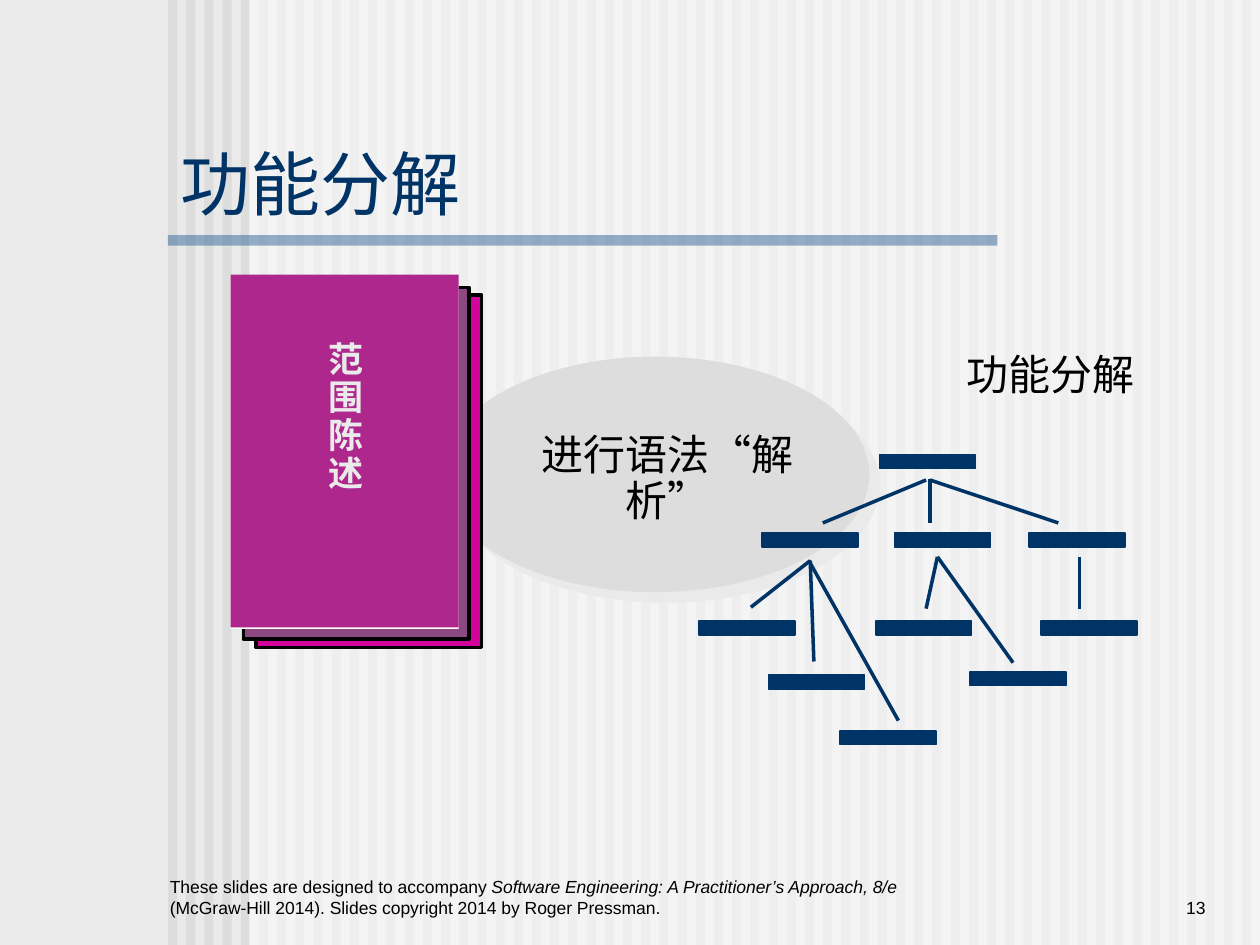
from lxml import etree
from pptx import Presentation
from pptx.dml.color import RGBColor
from pptx.enum.shapes import MSO_CONNECTOR, MSO_SHAPE
from pptx.enum.text import MSO_ANCHOR, MSO_AUTO_SIZE, PP_ALIGN
from pptx.oxml import parse_xml
from pptx.oxml.ns import nsdecls, qn
from pptx.util import Pt

COLORS = {
    "back": "EAEAEA", "stripe": "DDDDDD", "white": "FFFFFF", "rule": "336699",
    "navy": "003366", "black": "000000", "pink": "D1039B", "plum": "8C4881",
    "magenta": "AD278D",
}
CJK = "Noto Sans CJK SC"

TITLE = "功能分解"
FOOTER = [
    ("These slides are designed to accompany ", False),
    ("Software Engineering: A Practitioner’s Approach, 8/e ", True),
    ("(McGraw-Hill 2014). Slides copyright 2014 by Roger Pressman.", False),
]
# Text boxes: paragraphs of (text, italic) runs, box, and style
LABELS = [
    dict(paras=[[("13", False)]], box=(594, 492, 102, 36), size=10,
         align=PP_ALIGN.RIGHT, anchor=MSO_ANCHOR.BOTTOM),
    dict(paras=[FOOTER], box=(90, 492, 432, 36), size=10,
         anchor=MSO_ANCHOR.BOTTOM),
    dict(paras=[[("功能分解", False)]], box=(545, 195.8, 110.2, 36), size=24,
         font=CJK, align=PP_ALIGN.CENTER, wrap=False),
    dict(paras=[[("范围", False)], [("陈述", False)]],
         box=(170.6, 192.2, 54, 50.4), size=20, color="back", bold=True,
         align=PP_ALIGN.CENTER, spacing=0.9, wrap=False),
    dict(paras=[[("进行语法“解析”", False)]], box=(282.2, 244.8, 198.7, 33),
         size=24, font=CJK, align=PP_ALIGN.CENTER, spacing=0.9),
]
# Stacked pages: box, fill, outline
PAGES = [
    ((146.2, 168.5, 128.9, 202.3), "white", None),
    ((146.2, 168.5, 128.9, 201.6), "pink", "black"),
    ((139, 164.2, 128.9, 200.9), "plum", "black"),
    ((131.8, 157, 130.3, 202.3), "white", None),
    ((131.8, 157, 130.3, 201.6), "magenta", None),
]
# Tree: left and top of each bar, then the ends of each branch
BAR_W, BAR_H = 54.8, 7.9
BARS = [
    (502.6, 259.9),
    (435.6, 304.6), (511.2, 304.6), (588.2, 304.6),
    (399.6, 355), (439.2, 385.9), (480.2, 417.6),
    (500.4, 355), (554.4, 383.8), (595, 355),
]
BRANCHES = [
    (529.2, 274.3, 470.2, 298.8), (531.4, 273.6, 531.4, 298.8),
    (531.4, 274.3, 604.8, 298.8),
    (463, 320.4, 429.1, 347), (463, 320.4, 465.1, 378),
    (462.2, 320.4, 513.4, 411.8),
    (535.7, 318.2, 529.2, 347.8), (535.7, 318.2, 578.9, 378.7),
    (617, 318.2, 617, 347.8),
]
STRIPES, STRIPE_X, STRIPE_STEP, STRIPE_W = 60, 96, 10.4, 5.2


def rgb(name):
    return RGBColor.from_string(COLORS[name])


def add_block(box, fill, line=None, width=1, alpha=None, kind=MSO_SHAPE.RECTANGLE):
    sp = slide.shapes.add_shape(kind, *map(Pt, box))
    sp.shadow.inherit = False
    sp.fill.solid()
    sp.fill.fore_color.rgb = rgb(fill)
    if alpha:
        clr = sp._element.spPr.find(qn("a:solidFill"))[0]
        etree.SubElement(clr, qn("a:alpha")).set("val", str(alpha * 1000))
    if line:
        sp.line.color.rgb = rgb(line)
        sp.line.width = Pt(width)
    else:
        sp.line.fill.background()
    return sp


def add_run(p, text, size, color="black", font="Arial", bold=None, italic=None):
    r = p.add_run()
    r.text = text
    r.font.name = font
    r.font.size = Pt(size)
    r.font.bold = bold
    r.font.italic = italic
    r.font.color.rgb = rgb(color)
    etree.SubElement(r._r.get_or_add_rPr(), qn("a:ea")).set("typeface", CJK)


def add_label(paras, box, size, color="black", font="Arial", bold=None,
              align=PP_ALIGN.LEFT, anchor=MSO_ANCHOR.TOP, spacing=None, wrap=True):
    tf = slide.shapes.add_textbox(*map(Pt, box)).text_frame
    tf.word_wrap = wrap
    tf.vertical_anchor = anchor
    for i, runs in enumerate(paras):
        p = tf.add_paragraph() if i else tf.paragraphs[0]
        p.alignment = align
        p.line_spacing = spacing
        for text, italic in runs:
            add_run(p, text, size, color, font, bold, italic)


prs = Presentation()
prs.slide_width, prs.slide_height = Pt(720), Pt(540)
slide = prs.slides.add_slide(prs.slide_layouts[5])
slide.background.fill.solid()
slide.background.fill.fore_color.rgb = rgb("back")

# Striped backdrop, veil and title rule
for i in range(STRIPES):
    add_block((STRIPE_X + i * STRIPE_STEP, 0, STRIPE_W, 540), "stripe")
add_block((142.4, 0, 577.6, 540), "white", alpha=50)
add_block((96, 134.4, 474, 6), "rule", alpha=50)

# Ellipse with a hard offset shadow
oval = add_block((252, 203.8, 244.8, 134.6), "stripe", kind=MSO_SHAPE.OVAL)
spPr = oval._element.spPr
spPr.remove(spPr.find(qn("a:effectLst")))
spPr.append(parse_xml(
    f'<a:effectLst {nsdecls("a")}><a:outerShdw dist="{Pt(8.5)}" dir="2700000" '
    f'algn="ctr" rotWithShape="0"><a:srgbClr val="{COLORS["back"]}"/>'
    '</a:outerShdw></a:effectLst>'))

# Title, raised above the backdrop
title = slide.shapes.title
title.left, title.top, title.width, title.height = map(Pt, (96, 84.2, 544.3, 40.3))
slide.shapes._spTree.append(title._element)
tf = title.text_frame
tf.auto_size = MSO_AUTO_SIZE.NONE
tf.vertical_anchor = MSO_ANCHOR.MIDDLE
tf.paragraphs[0].alignment = PP_ALIGN.LEFT
add_run(tf.paragraphs[0], TITLE, 40, "navy")

# Scope document
for box, fill, line in PAGES:
    add_block(box, fill, line, 2)

# Decomposition tree
for x, y in BARS:
    add_block((x, y, BAR_W, BAR_H), "navy", "navy")
for ends in BRANCHES:
    branch = slide.shapes.add_connector(MSO_CONNECTOR.STRAIGHT, *map(Pt, ends))
    branch.line.color.rgb = rgb("navy")
    branch.line.width = Pt(2)
    etree.SubElement(branch._element.spPr, qn("a:effectLst"))

# Labels, footer and slide number
for label in LABELS:
    add_label(**label)

prs.save("out.pptx")
